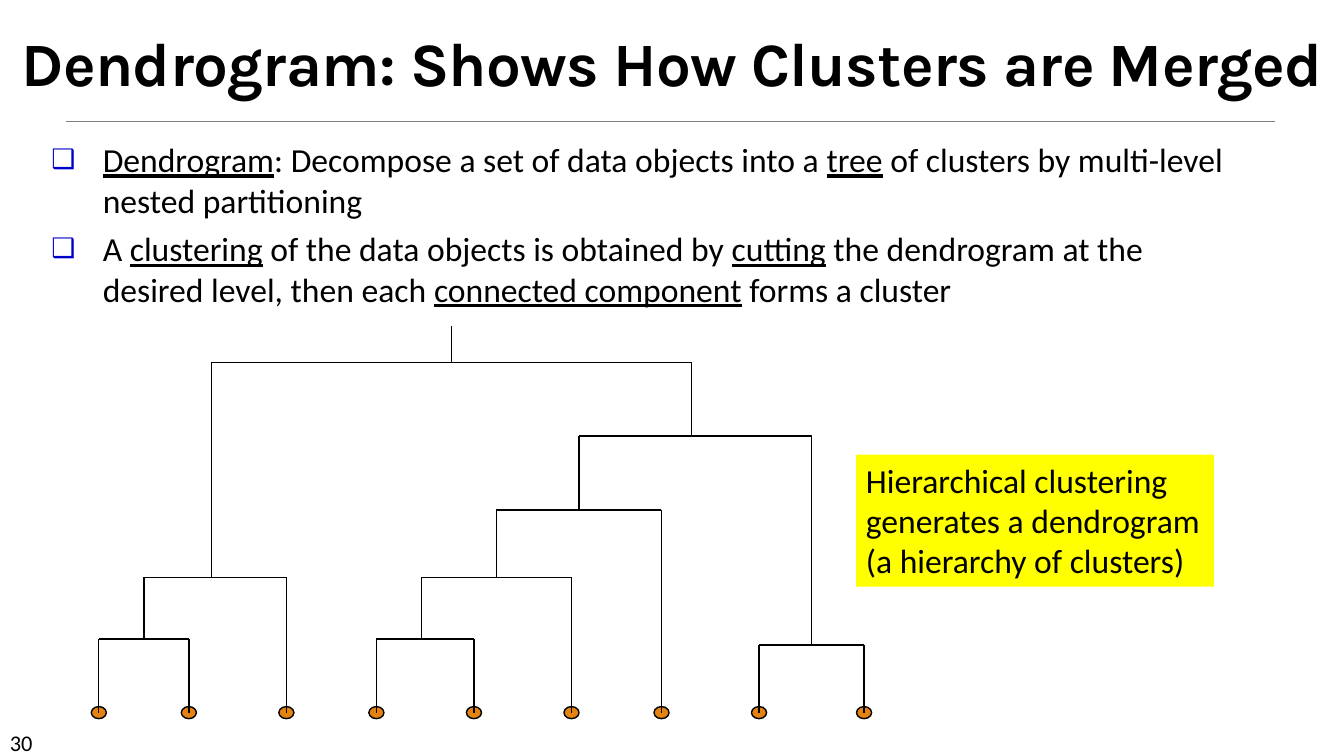
from dataclasses import dataclass

from lxml.etree import SubElement
from pptx import Presentation
from pptx.dml.color import RGBColor
from pptx.enum.shapes import MSO_CONNECTOR, MSO_SHAPE
from pptx.enum.text import MSO_ANCHOR, MSO_AUTO_SIZE, PP_ALIGN
from pptx.oxml.ns import qn
from pptx.util import Inches, Pt


@dataclass(frozen=True)
class Theme:
    ink: str = "000000"
    rule: str = "808080"
    bullet: str = "0000CC"
    leaf: str = "E48312"
    callout: str = "FFFF00"
    heading_font: str = "Karla"
    body_font: str = "Calibri"
    title_size: int = 44
    body_size: int = 24
    number_size: int = 16


@dataclass(frozen=True)
class Merge:
    col: int
    row: int
    left: object
    right: object


T = Theme()

# Dendrogram grid: leaves sit on row 0, rows count upwards
GRID_LEFT, GRID_BASE = 0.98, 7.07
COL, ROW = 7.59 / 102, 3.84 / 63
LEAF_W, LEAF_H = 0.15, 0.12
ROOT_ROW = 63

# Leaves are plain column numbers
TREE = Merge(47, 57,
             Merge(15, 22, Merge(6, 12, 0, 12), 25),
             Merge(79, 45,
                   Merge(64, 33,
                         Merge(53, 22, Merge(43, 12, 37, 50), 63),
                         75),
                   Merge(95, 11, 88, 102)))

# Each bullet is a list of (text, underlined) runs
BULLETS = [
    [("Dendrogram", True),
     (": Decompose a set of data objects into a ", False),
     ("tree", True),
     (" of clusters by multi-level nested partitioning", False)],
    [("A ", False), ("clustering", True),
     (" of the data objects is obtained by ", False),
     ("cutting", True),
     (" the dendrogram at the desired level, then each ", False),
     ("connected component", True),
     (" forms a cluster", False)],
]


def rgb(color):
    return RGBColor.from_string(color)


def place(shape, left, top, width, height):
    shape.left, shape.top = Inches(left), Inches(top)
    shape.width, shape.height = Inches(width), Inches(height)


def style(font, size, name=T.body_font):
    font.name, font.size = name, Pt(size)
    font.color.rgb = rgb(T.ink)


def frame(shape, anchor=MSO_ANCHOR.TOP):
    tf = shape.text_frame
    tf.word_wrap = True
    tf.auto_size = MSO_AUTO_SIZE.NONE
    tf.vertical_anchor = anchor
    return tf


def add_line(s, x1, y1, x2, y2, color=T.ink, width=1):
    line = s.shapes.add_connector(MSO_CONNECTOR.STRAIGHT, Inches(x1),
                                  Inches(y1), Inches(x2), Inches(y2))
    line.line.color.rgb = rgb(color)
    line.line.width = Pt(width)
    SubElement(line._element.spPr, qn("a:effectLst"))


def add_shape(s, kind, left, top, width, height, fill):
    sp = s.shapes.add_shape(kind, Inches(left), Inches(top),
                            Inches(width), Inches(height))
    sp.shadow.inherit = False
    sp.fill.solid()
    sp.fill.fore_color.rgb = rgb(fill)
    sp.line.fill.background()
    return sp


def add_title(s, text):
    sp = s.shapes.title
    place(sp, 0, 0.42, 13.33, 0.61)
    tf = frame(sp, MSO_ANCHOR.BOTTOM)
    tf.text = text
    p = tf.paragraphs[0]
    p.alignment, p.line_spacing = PP_ALIGN.CENTER, 0.85
    r = p.runs[0]
    style(r.font, T.title_size, T.heading_font)
    r.font.bold = True
    r._r.get_or_add_rPr().set("spc", "-50")


def set_bullet(p):
    pPr = p._p.get_or_add_pPr()
    indent = Inches(0.51)
    pPr.set("marL", str(indent))
    pPr.set("indent", str(-indent))
    color = SubElement(pPr, qn("a:buClr"))
    SubElement(color, qn("a:srgbClr"), val=T.bullet)
    SubElement(pPr, qn("a:buSzPct"), val="80000")
    SubElement(pPr, qn("a:buChar"), char="❑")


def add_bullets(s, bullets):
    sp = s.placeholders[1]
    place(sp, 0.41, 1.33, 12.02, 1.9)
    tf = frame(sp)
    for i, runs in enumerate(bullets):
        p = tf.add_paragraph() if i else tf.paragraphs[0]
        set_bullet(p)
        p.space_before = Pt(6 if i else 0)
        for text, underlined in runs:
            r = p.add_run()
            r.text = text
            style(r.font, T.body_size)
            r.font.underline = underlined


def grid_x(col):
    return GRID_LEFT + col * COL


def grid_y(row):
    return GRID_BASE - row * ROW


def position(node):
    return (node.col, node.row) if isinstance(node, Merge) else (node, 0)


def leaves(node):
    if isinstance(node, Merge):
        return leaves(node.left) + leaves(node.right)
    return [node]


def add_branches(s, node, parent_row):
    col, row = position(node)
    x, y = grid_x(col), grid_y(row)
    add_line(s, x, grid_y(parent_row), x, y)
    if isinstance(node, Merge):
        ends = [grid_x(position(n)[0]) for n in (node.left, node.right)]
        add_line(s, ends[0], y, ends[1], y)
        add_branches(s, node.left, row)
        add_branches(s, node.right, row)


def add_dendrogram(s, tree):
    for col in leaves(tree):
        dot = add_shape(s, MSO_SHAPE.OVAL, grid_x(col) - LEAF_W / 2,
                        GRID_BASE - LEAF_H / 2, LEAF_W, LEAF_H, T.leaf)
        dot.line.color.rgb = rgb(T.ink)
        dot.line.width = Pt(1)
    add_branches(s, tree, ROOT_ROW)


def add_text(sp, text, size):
    tf = frame(sp)
    tf.text = text
    p = tf.paragraphs[0]
    p.alignment = PP_ALIGN.LEFT
    style(p.runs[0].font, size)


def main():
    prs = Presentation()
    prs.slide_width, prs.slide_height = Inches(13.33), Inches(7.5)
    s = prs.slides.add_slide(prs.slide_layouts[1])

    # Heading, rule and page number
    add_title(s, "Dendrogram: Shows How Clusters are Merged")
    add_line(s, 0.65, 1.2, 12.65, 1.2, T.rule, 0.5)
    number = s.shapes.add_textbox(0, Inches(7.18), Inches(1.17), Inches(0.3))
    add_text(number, "30", T.number_size)

    # Explanation, diagram and callout
    add_bullets(s, BULLETS)
    add_dendrogram(s, TREE)
    callout = add_shape(s, MSO_SHAPE.RECTANGLE, 8.49, 4.51, 3.55, 1.31, T.callout)
    add_text(callout, "Hierarchical clustering generates a dendrogram "
                      "(a hierarchy of clusters)", T.body_size)

    prs.save("out.pptx")


if __name__ == "__main__":
    main()
